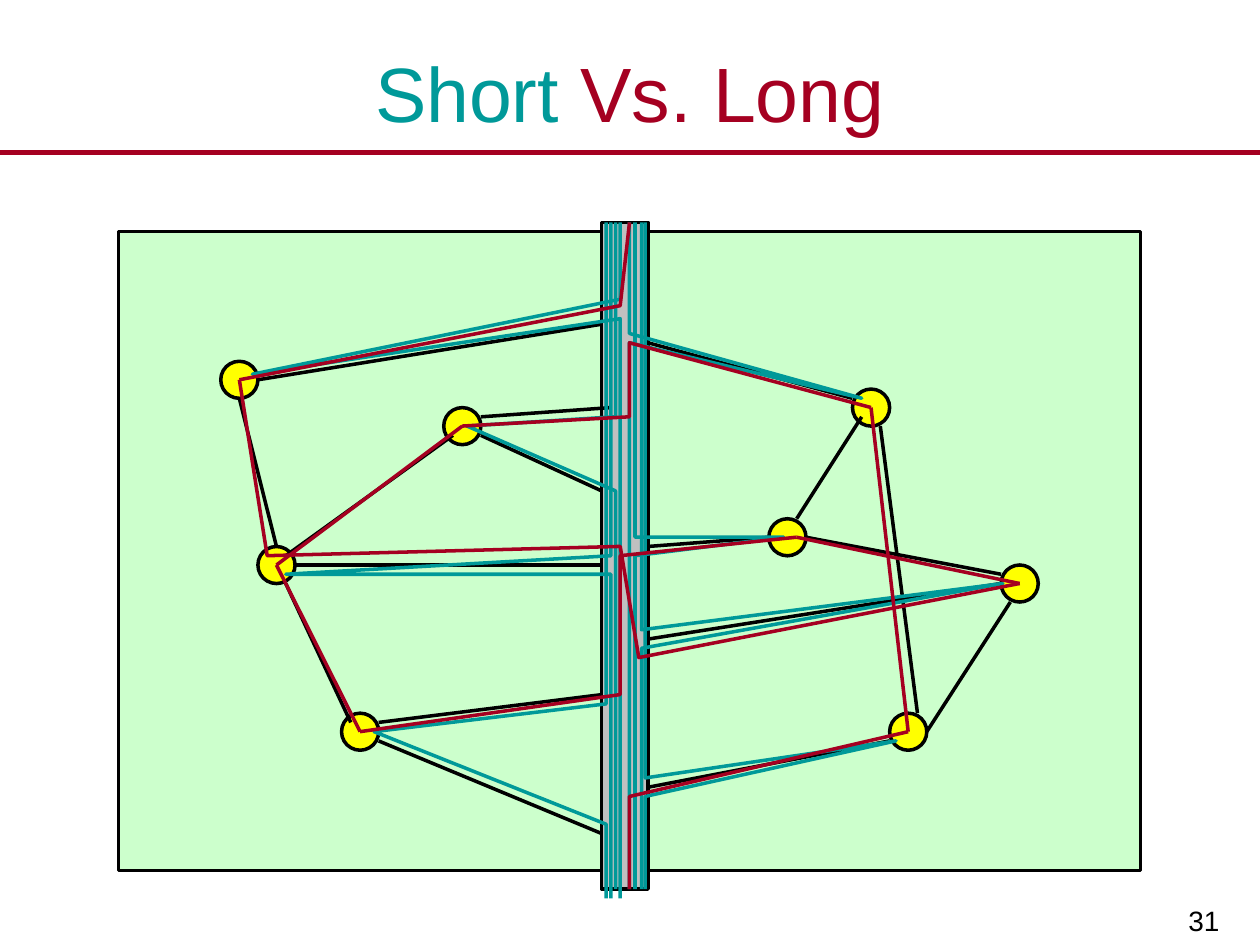
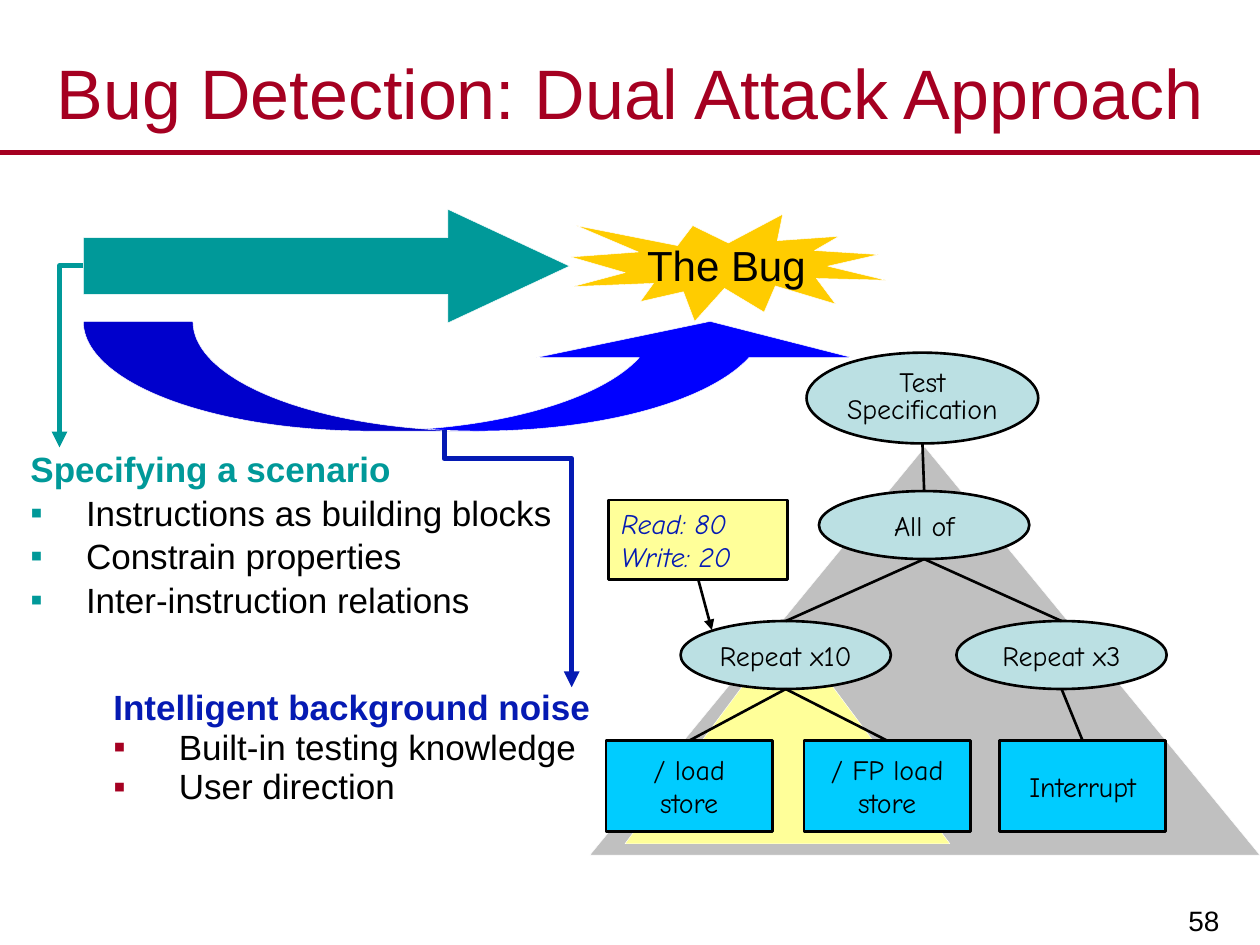
from lxml.etree import SubElement
from pptx import Presentation
from pptx.dml.color import RGBColor
from pptx.enum.shapes import MSO_CONNECTOR as Link, MSO_SHAPE as Preset
from pptx.enum.text import MSO_ANCHOR as Anchor, MSO_AUTO_SIZE as AutoSize, PP_ALIGN as Align
from pptx.oxml.ns import qn
from pptx.util import Cm, Pt

BLACK = RGBColor(0x00, 0x00, 0x00)
WHITE = RGBColor(0xFF, 0xFF, 0xFF)
CRIMSON = RGBColor(0xA5, 0x00, 0x21)
TEAL = RGBColor(0x00, 0x99, 0x99)
NAVY = RGBColor(0x05, 0x1A, 0xB3)
BLUE = RGBColor(0x00, 0x00, 0xFF)
MINT = RGBColor(0xCC, 0xFF, 0xCC)
YELLOW = RGBColor(0xFF, 0xFF, 0x00)
PALE_YELLOW = RGBColor(0xFF, 0xFF, 0x99)
GOLD = RGBColor(0xFF, 0xCC, 0x00)
GREY = RGBColor(0xC0, 0xC0, 0xC0)
ICE = RGBColor(0xBB, 0xE0, 0xE3)
SKY = RGBColor(0x00, 0xCC, 0xFF)

SANS, COMIC = "Arial", "Comic Neue"
TITLE_BOX = (0, 0.76, 25.4, 2.18)
NUMBER_BOX = (19.81, 17.6, 5.05, 1.45)
RULE_Y = 3.07

# The network is laid out on a grid of this many columns and rows.
NETWORK_BOX = (2.39, 4.67, 20.6, 12.88)
COLUMNS, ROWS = 110, 69
NODE_SIZE = 4
BUS = (52, -1, 5, 72)
NODES = [(13, 16), (17, 36), (26, 54), (37, 21), (81, 19), (97, 38), (85, 54), (72, 33)]
EDGES = [
    [(28, 55), (52, 65)], [(28, 53), (52, 50)], [(19, 36), (52, 36)], [(15, 16), (52, 10)],
    [(39, 22), (52, 28)], [(39, 20), (53, 19)], [(57, 60), (83, 55)], [(86, 52), (82, 21)],
    [(87, 54), (96, 40)], [(57, 34), (70, 33)], [(57, 44), (95, 38)], [(18, 35), (36, 22)],
    [(13, 18), (17, 34)], [(18, 38), (25, 53)], [(73, 31), (80, 20)], [(57, 12), (79, 18)],
    [(74, 33), (95, 37)],
]
# Each short trip: bus lane, lower end, row it leaves at, tip, row it returns at.
SHORT_TRIPS = [
    (52.5, 72, 64, (27.5, 54), 51), (53, 72, 37, (18, 37), 35),
    (53.5, 71, 28, (37.5, 21), 20), (54, 72, 9.4, (14.4, 15.4), 7.3),
    (56.7, 71, 61, (83.7, 55), 59), (56.3, 71, 45, (95.2, 38), 43),
    (55.6, 71, 35, (71.6, 33), 33), (55, 71, 12, (80, 18), 11),
]
LONG_LEGS = [
    [(55, 71), (55, 61), (85, 54)],
    [(85, 54), (81, 19)],
    [(81, 19), (55, 12), (55, 20), (37, 21)],
    [(37, 21), (17, 36)],
    [(17, 36), (26, 54)],
    [(26, 54), (54, 50), (54, 35), (73, 33)],
    [(73, 33), (97, 38)],
    [(97, 38), (56, 46), (54, 34), (16, 35), (13, 16)],
    [(13, 16), (54, 8), (55, -1)],
]

TREE_BOX = (11.89, 7.11)
LEAF_SIZE = (3.35, 1.83)
OVAL_SIZE = (4.24, 1.37)


def set_all(target, values):
    for name, value in values.items():
        setattr(target, name, value)


def cm(*lengths):
    return [Cm(length) for length in lengths]


def place(shape, box):
    set_all(shape, dict(zip(("left", "top", "width", "height"), cm(*box))))


def style_line(line, colour, width):
    line.color.rgb = colour
    line.width = Pt(width)


def add_span(para, text, colour, font):
    span = para.add_run()
    span.text = text
    set_all(span.font, font)
    span.font.color.rgb = colour


def write(frame, lines, colour, font, frame_format, para_format):
    """Fill a text frame with one paragraph per line, all in one style."""
    set_all(frame, frame_format)
    for index, text in enumerate(lines):
        para = frame.add_paragraph() if index else frame.paragraphs[0]
        set_all(para, para_format)
        add_span(para, text, colour, font)


def add_block(page, preset, box, fill, outline=BLACK, width=1.5):
    block = page.shapes.add_shape(preset, *cm(*box))
    block.shadow.inherit = False
    block.fill.solid()
    block.fill.fore_color.rgb = fill
    style_line(block.line, outline, width)
    return block


def add_line(page, start, end, colour=BLACK, width=1.5, kind=Link.STRAIGHT, arrow=False):
    line = page.shapes.add_connector(kind, *cm(*start, *end))
    style_line(line.line, colour, width)
    properties = line._element.spPr
    if arrow:
        SubElement(properties.find(qn("a:ln")), qn("a:tailEnd"), type="triangle")
    SubElement(properties, qn("a:effectLst"))
    return line


def add_elbow(page, box, colour, preset, turn, flip, bend=None):
    """Add a bent arrow, turned by some degrees and flipped along one axis."""
    left, top, width, height = box
    line = add_line(page, (left, top), (left + width, top + height),
                    colour, 3, Link.ELBOW, arrow=True)
    frame = line._element.spPr.find(qn("a:xfrm"))
    frame.set("rot", str(turn * 60000))
    frame.set(flip, "1")
    geometry = line._element.spPr.find(qn("a:prstGeom"))
    geometry.set("prst", preset)
    if bend is not None:
        guides = geometry.find(qn("a:avLst"))
        if guides is None:
            guides = SubElement(geometry, qn("a:avLst"))
        SubElement(guides, qn("a:gd"), name="adj1", fmla=f"val {round(bend * 100000)}")


def add_page(deck, layout, title_spans, size, number):
    """Add a slide with the shared title, rule and page number."""
    page = deck.slides.add_slide(deck.slide_layouts[layout])
    add_line(page, (0, RULE_Y), (25.4, RULE_Y), CRIMSON, 3)
    title = page.shapes.title
    place(title, TITLE_BOX)
    set_all(title.text_frame, {"vertical_anchor": Anchor.MIDDLE, "word_wrap": True,
                               "auto_size": AutoSize.NONE})
    para = title.text_frame.paragraphs[0]
    para.alignment = Align.CENTER
    for text, colour in title_spans:
        add_span(para, text, colour, {"name": SANS, "size": Pt(size)})
    number_box = page.shapes.add_textbox(*cm(*NUMBER_BOX))
    write(number_box.text_frame, [str(number)], BLACK, {"name": SANS, "size": Pt(16)},
          {"word_wrap": True, "vertical_anchor": Anchor.BOTTOM, "margin_left": Cm(0.28),
           "margin_right": Cm(0.28), "margin_top": Cm(0.15), "margin_bottom": Cm(0.15)},
          {"alignment": Align.RIGHT})
    return page


def draw_network(page, box):
    left, top, width, height = box
    column, row = width / COLUMNS, height / ROWS

    def spot(point):
        return left + point[0] * column, top + point[1] * row

    def grid_box(x, y, columns, rows):
        return (*spot((x, y)), columns * column, rows * row)

    def trace(points, colour):
        """Draw a straight line for two points, an open outline for more."""
        spots = [spot(point) for point in points]
        if len(spots) == 2:
            add_line(page, *spots, colour, 2)
            return
        start, *rest = [tuple(cm(*place_cm)) for place_cm in spots]
        builder = page.shapes.build_freeform(*start)
        builder.add_line_segments(rest, close=False)
        outline = builder.convert_to_shape()
        outline.shadow.inherit = False
        outline.fill.background()
        style_line(outline.line, colour, 2)

    add_block(page, Preset.RECTANGLE, box, MINT, width=2)
    for x, y in NODES:
        corner = (x - NODE_SIZE / 2, y - NODE_SIZE / 2)
        add_block(page, Preset.OVAL, grid_box(*corner, NODE_SIZE, NODE_SIZE), YELLOW, width=2)
    add_block(page, Preset.RECTANGLE, grid_box(*BUS), GREY, width=2)
    for edge in EDGES:
        trace(edge, BLACK)
    for lane, bottom, leave, tip, back in SHORT_TRIPS:
        trace([(lane, bottom), (lane, leave), tip, (lane, back), (lane, -1)], TEAL)
    for leg in LONG_LEGS:
        trace(leg, CRIMSON)


def fill_list(holder, box, heading, items, colour, bullet_colour, spacing, indent):
    """Write a bold heading and its square-bulleted items into a placeholder."""
    place(holder, box)
    frame = holder.text_frame
    font = {"name": SANS, "size": Pt(20), "bold": False}
    write(frame, [heading, *items], BLACK, font,
          {"word_wrap": True, "auto_size": AutoSize.NONE, "vertical_anchor": Anchor.TOP},
          {"line_spacing": spacing, "space_before": Pt(1), "space_after": Pt(0)})
    first, *rest = frame.paragraphs
    first.runs[0].font.bold = True
    first.runs[0].font.color.rgb = colour
    properties = first._p.get_or_add_pPr()
    properties.set("marL", "0")
    properties.set("indent", "0")
    SubElement(properties, qn("a:buNone"))
    for para in rest:
        properties = para._p.get_or_add_pPr()
        properties.set("marL", str(Cm(indent)))
        properties.set("indent", str(-Cm(indent)))
        SubElement(SubElement(properties, qn("a:buClr")), qn("a:srgbClr"),
                   val=str(bullet_colour))
        SubElement(properties, qn("a:buFont"), typeface=SANS)
        SubElement(properties, qn("a:buChar"), char="▪")


def draw_tree(page, origin):
    """Draw the test specification tree from its top left corner."""
    left, top = origin

    def at(x, y):
        return left + x, top + y

    def label(block, lines, spacing=1.0):
        write(block.text_frame, lines, BLACK, {"name": COMIC, "size": Pt(16)},
              {"word_wrap": False, "vertical_anchor": Anchor.MIDDLE},
              {"alignment": Align.CENTER, "line_spacing": spacing})

    def oval(x, y, size, lines, spacing=1.0):
        block = add_block(page, Preset.OVAL, (*at(x, y), *size), ICE)
        label(block, lines, spacing)
        return block, (left + x + size[0] / 2, top + y + size[1])

    def branch(foot, child):
        line = add_line(page, foot, foot)
        line.end_connect(child, 0)

    for x, y, width, height, colour in [(0, 1.9, 13.51, 8.23, GREY),
                                        (0.71, 5.51, 6.55, 4.39, PALE_YELLOW)]:
        add_block(page, Preset.ISOSCELES_TRIANGLE, (*at(x, y), width, height),
                  colour, WHITE, 0.25)

    _, root_foot = oval(4.37, 0, (4.67, 1.83), ["Test", "Specification"], 0.8)
    all_of, all_foot = oval(4.62, 2.79, OVAL_SIZE, ["All of"])
    often, often_foot = oval(1.83, 5.41, OVAL_SIZE, ["Repeat x10"])
    seldom, seldom_foot = oval(7.39, 5.41, OVAL_SIZE, ["Repeat x3"])
    branch(root_foot, all_of)
    branch(all_foot, often)
    branch(all_foot, seldom)
    for x, foot, lines in [(0.33, often_foot, ["/ load", "store"]),
                           (4.32, often_foot, ["/ FP load", "store"]),
                           (8.26, seldom_foot, ["Interrupt"])]:
        leaf = add_block(page, Preset.RECTANGLE, (*at(x, 7.82), *LEAF_SIZE), SKY)
        label(leaf, lines)
        branch(foot, leaf)

    note = add_block(page, Preset.RECTANGLE, (*at(0.38, 2.97), 3.61, 1.6), PALE_YELLOW)
    write(note.text_frame, ["Read: 80", "Write: 20"], NAVY,
          {"name": COMIC, "size": Pt(16), "italic": True},
          {"word_wrap": True, "vertical_anchor": Anchor.TOP}, {"alignment": Align.LEFT})
    pointer = add_line(page, at(2.18, 4.57), at(2.46, 5.59), arrow=True)
    pointer.begin_connect(note, 2)


def draw_attack(page, origin):
    """Draw the two arrows that lead to the bug, and their callout lines."""
    left, top = origin
    seal = add_block(page, Preset.EXPLOSION1, (left + 9.83, top + 0.1, 6.35, 2.16),
                     GOLD, WHITE, 0.25)
    write(seal.text_frame, ["The Bug"], BLACK, {"name": SANS, "size": Pt(24)},
          {"word_wrap": False, "vertical_anchor": Anchor.MIDDLE}, {"alignment": Align.CENTER})
    for preset, box, colour, adjustments in [
            (Preset.RIGHT_ARROW, (left, top, 9.8, 2.29), TEAL, (0.5, 1.07)),
            (Preset.CURVED_UP_ARROW, (left, top + 2.26, 15.82, 2.21), BLUE, (1.45, 2.88, 0.33))]:
        arrow = add_block(page, preset, box, colour, WHITE, 0.25)
        for index, value in enumerate(adjustments):
            arrow.adjustments[index] = value
    add_elbow(page, (left - 0.48, top + 1.14, 0.48, 3.66), TEAL, "bentConnector2", 180, "flipV")
    add_elbow(page, (left + 5.97, top + 5.76, 5.18, 2.57), NAVY,
              "bentConnector3", 270, "flipH", 0.11)


def add_routes_page(deck):
    page = add_page(deck, 5, [("Short", TEAL), (" Vs. Long", CRIMSON)], 44, 31)
    draw_network(page, NETWORK_BOX)


def add_bug_page(deck):
    page = add_page(deck, 3, [("Bug Detection: Dual Attack Approach", CRIMSON)], 40, 58)
    fill_list(page.placeholders[1], (0.36, 8.89, 11.4, 4.37), "Specifying a scenario",
              ["Instructions as building blocks", "Constrain properties",
               "Inter-instruction relations"], TEAL, TEAL, 1.0, 1.12)
    draw_tree(page, TREE_BOX)
    fill_list(page.placeholders[2], (2.03, 13.79, 10.39, 3.02), "Intelligent background noise",
              ["Built-in testing knowledge", "User direction"], NAVY, CRIMSON, 0.9, 1.32)
    draw_attack(page, (1.68, 4.22))


def main():
    deck = Presentation()
    set_all(deck, {"slide_width": Cm(25.4), "slide_height": Cm(19.05)})
    add_routes_page(deck)
    add_bug_page(deck)
    deck.save("out.pptx")


if __name__ == "__main__":
    main()
